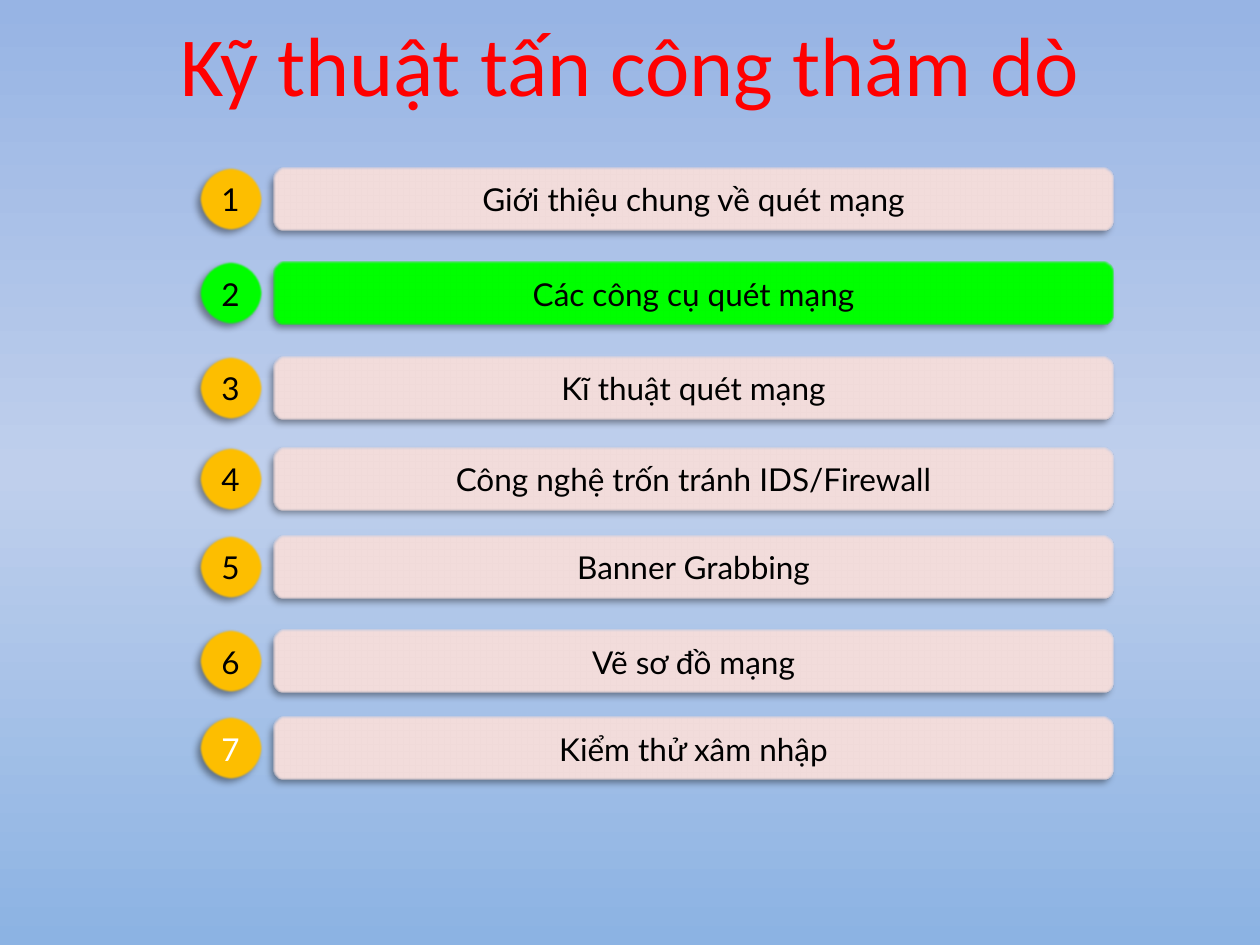
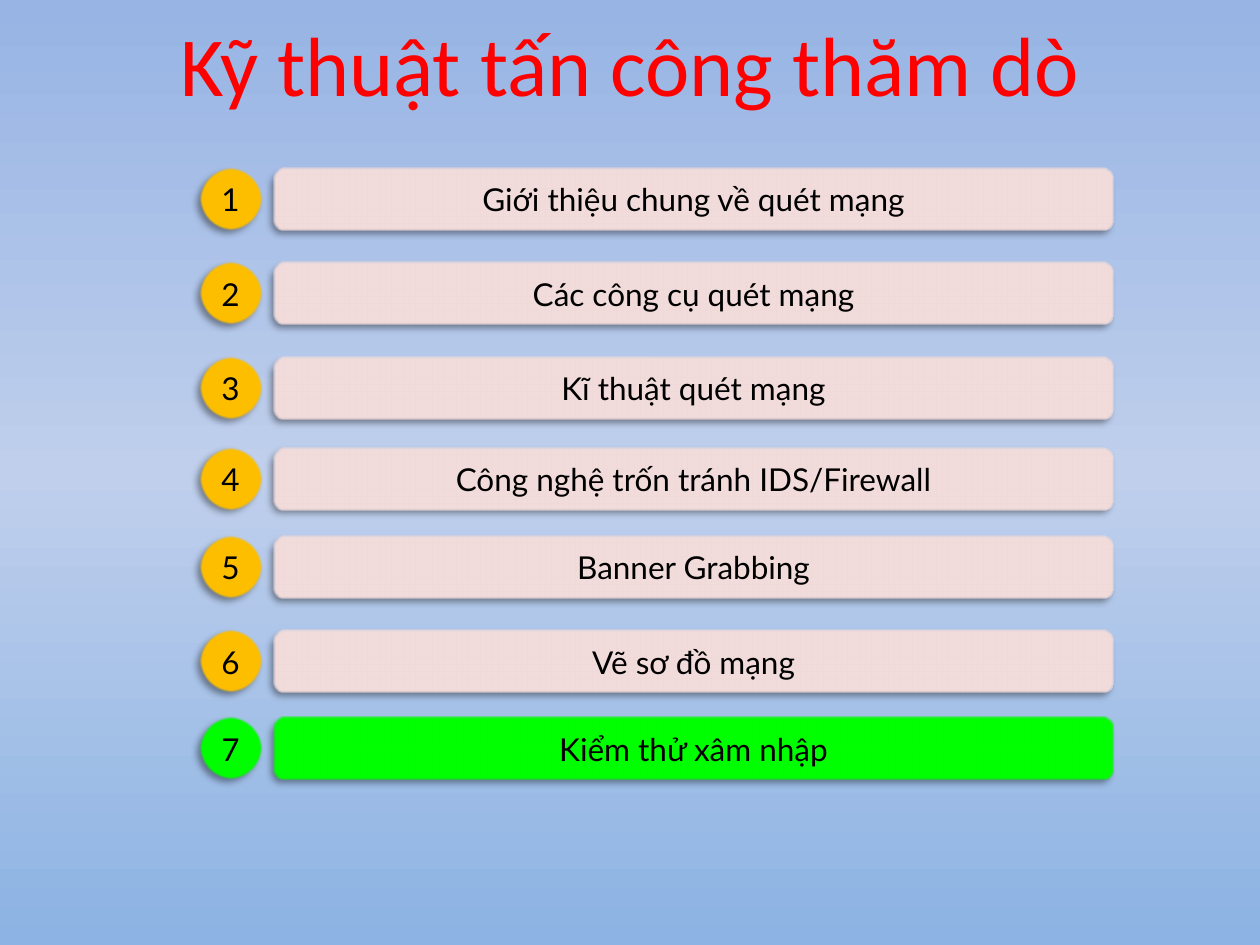
from copy import deepcopy

from lxml import etree
from pptx import Presentation
from pptx.dml.color import RGBColor
from pptx.enum.shapes import MSO_SHAPE
from pptx.enum.text import MSO_ANCHOR, MSO_AUTO_SIZE, PP_ALIGN
from pptx.oxml.ns import qn
from pptx.util import Inches, Pt

CIRCLE, BAR = MSO_SHAPE.OVAL, MSO_SHAPE.ROUNDED_RECTANGLE
CENTER, TOP, MIDDLE = PP_ALIGN.CENTER, MSO_ANCHOR.TOP, MSO_ANCHOR.MIDDLE
TITLE_ONLY = 5

# Content: each topic with the top of its row
TITLE = "Kỹ thuật tấn công thăm dò"
TOPICS = [
    ("Giới thiệu chung về quét mạng", 1.33),
    ("Các công cụ quét mạng", 2.08),
    ("Kĩ thuật quét mạng", 2.83),
    ("Công nghệ trốn tránh IDS/Firewall", 3.55),
    ("Banner Grabbing", 4.25),
    ("Vẽ sơ đồ mạng", 5),
    ("Kiểm thử xâm nhập", 5.69),
]
# Each slide: the current topic and the colours of special numbers
AGENDAS = [
    {"current": 2, "number_colors": {7: "FFFFFF"}},
    {"current": 7, "number_colors": {}},
]

# Shared look
WIDTH, HEIGHT = 10, 7.5
NUMBER_LEFT, BAR_LEFT = 1.58, 2.17
BAR_WIDTH, ROW_HEIGHT = 6.67, 0.5
BACKGROUND = [(0, "97B4E4"), (0.5, "BFCFEC"), (1, "8CB3E3")]
BLACK, RED, GREEN, AMBER, PINK = "000000", "FF0000", "00FF00", "FFC000", "F2DCDB"


def color(hex_string):
    return RGBColor.from_string(hex_string)


def paint_background(master):
    fill = master.background.fill
    fill.gradient()
    fill.gradient_angle = 270
    stop_list = next(master.element.iter(qn("a:gsLst")))
    stop_list.append(deepcopy(stop_list[-1]))
    for stop, (position, shade) in zip(fill.gradient_stops, BACKGROUND):
        stop.position = position
        stop.color.rgb = color(shade)


def add_effects(shape):
    """Give the shape a soft edge and a shadow to the lower left."""
    shape.shadow.inherit = False
    effects = shape.element.spPr.find(qn("a:effectLst"))
    shadow = etree.SubElement(
        effects, qn("a:outerShdw"), blurRad=str(Pt(4)), dist=str(Pt(3)),
        dir=str(135 * 60000), algn="tr", rotWithShape="0")
    shade = etree.SubElement(shadow, qn("a:srgbClr"), val=BLACK)
    etree.SubElement(shade, qn("a:alpha"), val="40000")
    etree.SubElement(effects, qn("a:softEdge"), rad=str(Pt(1)))


def write(frame, text, font, size, shade, anchor):
    frame.word_wrap = True
    frame.vertical_anchor = anchor
    para = frame.paragraphs[0]
    para.alignment = CENTER
    span = para.add_run()
    span.text = text
    span.font.name = font
    span.font.size = Pt(size)
    span.font.color.rgb = color(shade)


def add_part(slide, kind, left, top, width, fill, text, text_color=BLACK):
    shape = slide.shapes.add_shape(
        kind, Inches(left), Inches(top), Inches(width), Inches(ROW_HEIGHT))
    shape.fill.solid()
    shape.fill.fore_color.rgb = color(fill)
    shape.line.fill.background()
    add_effects(shape)
    if kind == CIRCLE:
        shape.text_frame.margin_left = shape.text_frame.margin_right = 0
    write(shape.text_frame, text, "Lato", 18, text_color, MIDDLE)


def add_title(slide):
    title = slide.shapes.title
    title.left, title.top = 0, Inches(0.05)
    title.width, title.height = Inches(WIDTH), Inches(0.91)
    write(title.text_frame, TITLE, "Calibri", 48, RED, TOP)
    title.text_frame.auto_size = MSO_AUTO_SIZE.SHAPE_TO_FIT_TEXT


def add_agenda(deck, current, number_colors):
    slide = deck.slides.add_slide(deck.slide_layouts[TITLE_ONLY])
    add_title(slide)
    for number, (topic, top) in enumerate(TOPICS, start=1):
        is_current = number == current
        add_part(slide, CIRCLE, NUMBER_LEFT, top, ROW_HEIGHT,
                 GREEN if is_current else AMBER, str(number),
                 number_colors.get(number, BLACK))
        add_part(slide, BAR, BAR_LEFT, top, BAR_WIDTH,
                 GREEN if is_current else PINK, topic)


def main():
    deck = Presentation()
    deck.slide_width, deck.slide_height = Inches(WIDTH), Inches(HEIGHT)
    paint_background(deck.slide_master)
    for agenda in AGENDAS:
        add_agenda(deck, **agenda)
    deck.save("out.pptx")


if __name__ == "__main__":
    main()
